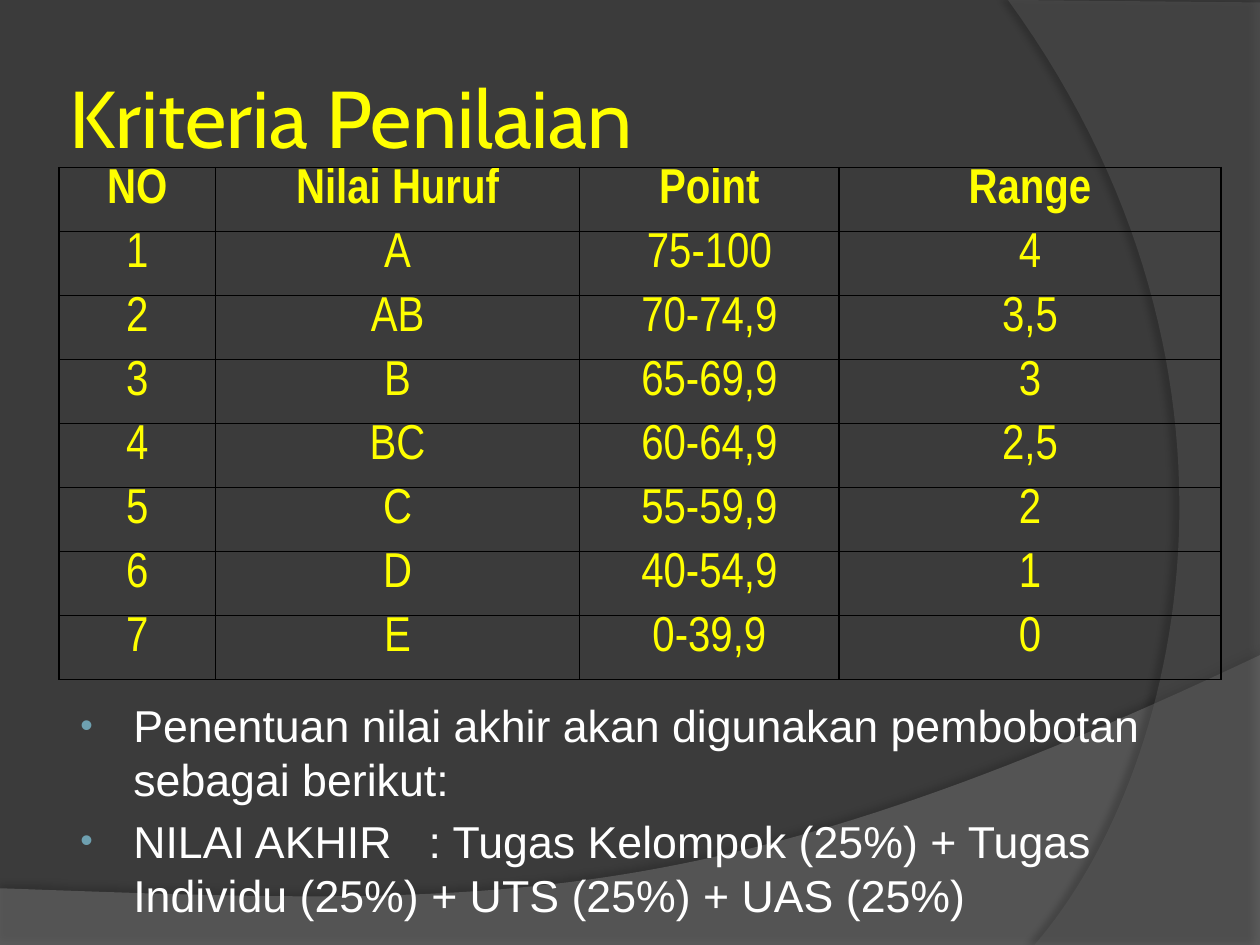
from dataclasses import dataclass

from lxml.etree import SubElement
from pptx import Presentation
from pptx.dml.color import RGBColor
from pptx.enum.text import MSO_ANCHOR, MSO_AUTO_SIZE, PP_ALIGN
from pptx.oxml.ns import qn
from pptx.util import Inches, Pt

COLORS = {
    "background": "3B3B3B", "floor": "7F7F7F", "side": "5E5E5E",
    "heading": "FFFF00", "body": "FFFFFF", "bullet": "6EA0B0", "line": "000000",
}
# Grid: 100 columns by 75 rows of square cells
COLUMNS, ROWS = 100, 75
CELL = Inches(0.1)

Point = tuple[float, float]


@dataclass
class Wave:
    """A backdrop shape: straight corners, then Bezier curves of three points each."""
    color: str
    opacity: int
    corners: list[Point]
    curves: list[tuple[Point, Point, Point]]
    shadow_opacity: int
    shadow_distance: float
    shadow_angle: int


@dataclass
class TextStyle:
    font: str
    size: float
    color: str
    bold: bool = False


WAVES = [
    Wave("floor", 45, [(0, 70.5), (0, 75), (100, 75), (100, 52)],
         [((55.9, 72.9), (39.1, 71.9), (0, 70.5))], 35, 3.5, 270),
    Wave("side", 40, [(100, 0.2), (100, 75), (82.1, 75)],
         [((93.5, 61.9), (101.8, 30), (80, 0))], 45, 4, 180),
]
TITLE_STYLE = TextStyle("Cabin", 46, "heading")
HEADER_STYLE = TextStyle("Arial Narrow", 28, "heading", True)
GRADE_STYLE = TextStyle("Arial Narrow", 28, "heading")
NOTE_STYLE = TextStyle("Arial", 25.5, "body")

GRADE_COLUMNS = [12.4, 28.9, 20.6, 30.3]
GRADE_ROW = 5.08
GRADES = [
    ("NO", "Nilai Huruf", "Point", "Range"),
    ("1", "A", "75-100", "4"),
    ("2", "AB", "70-74,9", "3,5"),
    ("3", "B", "65-69,9", "3"),
    ("4", "BC", "60-64,9", "2,5"),
    ("5", "C", "55-59,9", "2"),
    ("6", "D", "40-54,9", "1"),
    ("7", "E", "0-39,9", "0"),
]
NOTES = [
    "Penentuan nilai akhir akan digunakan pembobotan sebagai berikut:",
    "NILAI AKHIR   : Tugas Kelompok (25%) + Tugas Individu (25%) + UTS (25%) + UAS (25%)",
]


def cells(count: float) -> int:
    return round(count * CELL)


def rgb(name: str) -> RGBColor:
    return RGBColor.from_string(COLORS[name])


def add_run(paragraph, text: str, style: TextStyle) -> None:
    run = paragraph.add_run()
    run.text = text
    run.font.name = style.font
    run.font.size = Pt(style.size)
    run.font.bold = style.bold
    run.font.color.rgb = rgb(style.color)


def add_color(parent, name: str, opacity: int = 100) -> None:
    color = SubElement(parent, qn("a:srgbClr"), val=COLORS[name])
    if opacity < 100:
        SubElement(color, qn("a:alpha"), val=str(opacity * 1000))


def curve_points(start: Point, first: Point, second: Point, end: Point,
                 steps: int = 60) -> list[Point]:
    points = []
    for step in range(1, steps + 1):
        t = step / steps
        weights = ((1 - t) ** 3, 3 * t * (1 - t) ** 2, 3 * t * t * (1 - t), t ** 3)
        points.append(tuple(
            sum(weight * point[axis]
                for weight, point in zip(weights, (start, first, second, end)))
            for axis in (0, 1)))
    return points


def add_wave(slide, wave: Wave, depth: int) -> None:
    outline = list(wave.corners)
    for curve in wave.curves:
        outline += curve_points(outline[-1], *curve)
    points = [(cells(x), cells(y)) for x, y in outline]
    builder = slide.shapes.build_freeform(*points[0])
    builder.add_line_segments(points[1:], close=True)
    shape = builder.convert_to_shape()
    shape.line.fill.background()
    shape.fill.solid()
    shape.fill.fore_color.rgb = rgb(wave.color)
    fill_color = shape.fill._xPr.find(qn("a:solidFill"))[0]
    SubElement(fill_color, qn("a:alpha"), val=str(wave.opacity * 1000))
    effects = SubElement(shape._element.spPr, qn("a:effectLst"))
    shadow = SubElement(effects, qn("a:outerShdw"), blurRad=str(Pt(4)),
                        dist=str(Pt(wave.shadow_distance)),
                        dir=str(wave.shadow_angle * 60000), rotWithShape="0")
    add_color(shadow, "line", wave.shadow_opacity)
    # Behind the title: the first two children of the tree are its properties
    slide.shapes._spTree.insert(2 + depth, shape._element)


def add_borders(cell) -> None:
    properties = cell._tc.get_or_add_tcPr()
    for side in ("lnL", "lnR", "lnT", "lnB"):
        border = SubElement(properties, qn(f"a:{side}"), w=str(Pt(1)))
        add_color(SubElement(border, qn("a:solidFill")), "line")


def add_grades(slide, left: float, top: float) -> None:
    table = slide.shapes.add_table(
        len(GRADES), len(GRADE_COLUMNS), cells(left), cells(top),
        cells(sum(GRADE_COLUMNS)), cells(GRADE_ROW * len(GRADES))).table
    table.first_row = table.horz_banding = False
    for column, width in zip(table.columns, GRADE_COLUMNS):
        column.width = cells(width)
    for index, grade in enumerate(GRADES):
        table.rows[index].height = cells(GRADE_ROW)
        for cell, value in zip(table.rows[index].cells, grade):
            cell.margin_left = cell.margin_right = cells(0.7)
            cell.margin_top = cell.margin_bottom = 0
            add_borders(cell)
            cell.fill.background()
            paragraph = cell.text_frame.paragraphs[0]
            paragraph.alignment = PP_ALIGN.CENTER
            add_run(paragraph, value, GRADE_STYLE if index else HEADER_STYLE)


def add_bullet(paragraph) -> None:
    properties = paragraph._p.get_or_add_pPr()
    properties.set("marL", str(cells(4.6)))
    properties.set("indent", str(cells(-4.2)))
    add_color(SubElement(properties, qn("a:buClr")), "bullet")
    SubElement(properties, qn("a:buSzPct"), val="80000")
    SubElement(properties, qn("a:buFont"), typeface="Arial")
    SubElement(properties, qn("a:buChar"), char="•")


def add_notes(slide, left: float, top: float, width: float, height: float) -> None:
    frame = slide.shapes.add_textbox(
        cells(left), cells(top), cells(width), cells(height)).text_frame
    frame.word_wrap = True
    for index, note in enumerate(NOTES):
        paragraph = frame.add_paragraph() if index else frame.paragraphs[0]
        paragraph.space_before = Pt(5)
        add_bullet(paragraph)
        add_run(paragraph, note, NOTE_STYLE)


def fill_title(title, text: str) -> None:
    title.left, title.top = cells(5), cells(3)
    title.width, title.height = cells(81.7), cells(12.5)
    frame = title.text_frame
    frame.auto_size = MSO_AUTO_SIZE.NONE
    frame.vertical_anchor = MSO_ANCHOR.MIDDLE
    frame.margin_left = frame.margin_right = cells(0.5)
    frame.margin_top = frame.margin_bottom = cells(0.5)
    paragraph = frame.paragraphs[0]
    paragraph.alignment = PP_ALIGN.LEFT
    add_run(paragraph, text, TITLE_STYLE)


def main() -> None:
    presentation = Presentation()
    presentation.slide_width = cells(COLUMNS)
    presentation.slide_height = cells(ROWS)
    slide = presentation.slides.add_slide(presentation.slide_layouts[5])

    # Backdrop
    slide.background.fill.solid()
    slide.background.fill.fore_color.rgb = rgb("background")
    for depth, wave in enumerate(WAVES):
        add_wave(slide, wave, depth)

    # Title, weighting notes and grade table
    fill_title(slide.shapes.title, "Kriteria Penilaian")
    add_notes(slide, 5, 54.9, 91.9, 16.2)
    add_grades(slide, 4.7, 13.3)

    presentation.save("out.pptx")


if __name__ == "__main__":
    main()
